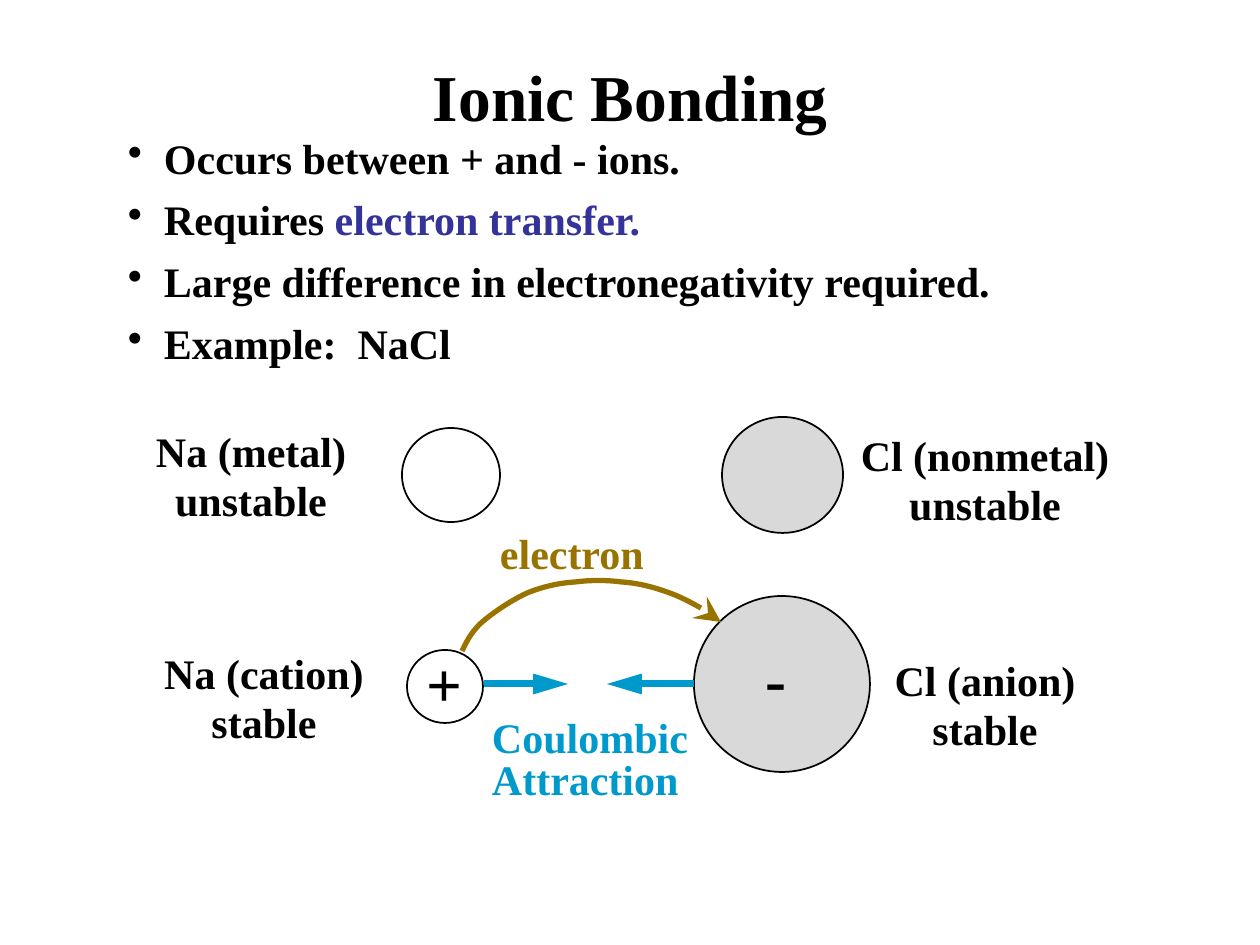
import dataclasses

import lxml.etree
import pptx
import pptx.dml.color
import pptx.enum.shapes
import pptx.enum.text
import pptx.oxml.ns
import pptx.util

EMU_PER_PX = 914400 / 126
FONT = "Times New Roman"
BLACK = pptx.dml.color.RGBColor(0x00, 0x00, 0x00)
WHITE = pptx.dml.color.RGBColor(0xFF, 0xFF, 0xFF)
GREY = pptx.dml.color.RGBColor(0xD9, 0xD9, 0xD9)
INDIGO = pptx.dml.color.RGBColor(0x33, 0x33, 0x99)
BLUE = pptx.dml.color.RGBColor(0x00, 0x99, 0xCC)
OCHRE = pptx.dml.color.RGBColor(0x99, 0x73, 0x00)
LEFT = pptx.enum.text.PP_ALIGN.LEFT
CENTER = pptx.enum.text.PP_ALIGN.CENTER
MIDDLE = pptx.enum.text.MSO_ANCHOR.MIDDLE


@dataclasses.dataclass(frozen=True)
class Label:
    left: int
    top: int
    width: int
    lines: tuple
    color: pptx.dml.color.RGBColor = BLACK
    pitch: int = 28
    align: pptx.enum.text.PP_ALIGN = CENTER


@dataclasses.dataclass(frozen=True)
class Particle:
    left: int
    top: int
    width: int
    height: int
    color: pptx.dml.color.RGBColor
    charge: str = ""
    inset_right: int = 0
    inset_bottom: int = 0


@dataclasses.dataclass(frozen=True)
class Pull:
    start: int
    end: int
    y: int


BULLETS = (
    (("Occurs between + and - ions.", BLACK),),
    (("Requires ", BLACK), ("electron transfer.", INDIGO)),
    (("Large difference in electronegativity required.", BLACK),),
    (("Example:  NaCl", BLACK),),
)
LABELS = (
    Label(146, 427, 210, ("Na (metal)", "unstable")),
    Label(850, 431, 270, ("Cl (nonmetal)", "unstable")),
    Label(159, 649, 210, ("Na (cation)", "stable")),
    Label(880, 656, 210, ("Cl (anion)", "stable")),
    Label(500, 529, 155, ("electron",), OCHRE, align=LEFT),
    Label(492, 720, 200, ("Coulombic", "Attraction"), BLUE, 24, LEFT),
)
PARTICLES = (
    Particle(402, 428, 98, 94, WHITE),
    Particle(722, 417, 121, 116, GREY),
    Particle(407, 650, 76, 73, WHITE, "+", 2, 8),
    Particle(694, 596, 176, 176, GREY, "-", 12, 14),
)
PULLS = (Pull(484, 568, 684), Pull(694, 607, 684))
TRANSFER_START = (462, 651)
TRANSFER_CURVES = (
    ((466, 643), (470, 634), (480, 624)),
    ((491, 614), (510, 601), (527, 593)),
    ((542, 587), (558, 583), (575, 582)),
    ((590, 580), (607, 580), (622, 582)),
    ((638, 583), (653, 587), (667, 592)),
    ((679, 596), (696, 605), (704, 610)),
    ((713, 615), (717, 619), (721, 622)),
)


def px(length: int) -> int:
    return round(length * EMU_PER_PX)


def add_run(paragraph, text: str, color, size: float = 24) -> None:
    run = paragraph.add_run()
    run.text = text
    run.font.name = FONT
    run.font.size = pptx.util.Pt(size)
    run.font.bold = True
    run.font.color.rgb = color


def clear_insets(frame) -> None:
    frame.margin_left = frame.margin_top = 0
    frame.margin_right = frame.margin_bottom = 0


def add_frame(slide, left: int, top: int, width: int, height: int):
    frame = slide.shapes.add_textbox(px(left), px(top), px(width), px(height)).text_frame
    frame.word_wrap = True
    clear_insets(frame)
    return frame


def next_paragraph(frame, index: int):
    return frame.add_paragraph() if index else frame.paragraphs[0]


def add_title(slide) -> None:
    frame = add_frame(slide, 53, 53, 1155, 94)
    frame.vertical_anchor = MIDDLE
    heading = frame.paragraphs[0]
    heading.alignment = CENTER
    heading.line_spacing = 0.9
    add_run(heading, "Ionic Bonding", BLACK, 37.4)


def add_bullets(slide) -> None:
    frame = add_frame(slide, 128, 132, 900, 230)
    for index, parts in enumerate(BULLETS):
        point = next_paragraph(frame, index)
        properties = point._p.get_or_add_pPr()
        properties.set("marL", str(px(36)))
        properties.set("indent", str(-px(36)))
        bullet = lxml.etree.SubElement(properties, pptx.oxml.ns.qn("a:buChar"))
        bullet.set("char", "•")
        if index:
            point.space_before = pptx.util.Pt(6.6)
        for text, color in parts:
            add_run(point, text, color)


def add_label(slide, label: Label) -> None:
    frame = add_frame(slide, label.left, label.top, label.width, 49 * len(label.lines))
    for index, text in enumerate(label.lines):
        line = next_paragraph(frame, index)
        line.alignment = label.align
        line.line_spacing = pptx.util.Pt(label.pitch)
        add_run(line, text, label.color)


def add_particle(slide, particle: Particle) -> None:
    ball = slide.shapes.add_shape(
        pptx.enum.shapes.MSO_SHAPE.OVAL,
        px(particle.left), px(particle.top), px(particle.width), px(particle.height),
    )
    ball.shadow.inherit = False
    ball.fill.solid()
    ball.fill.fore_color.rgb = particle.color
    ball.line.color.rgb = BLACK
    ball.line.width = pptx.util.Pt(1)
    if particle.charge:
        frame = ball.text_frame
        clear_insets(frame)
        frame.margin_right = px(particle.inset_right)
        frame.margin_bottom = px(particle.inset_bottom)
        frame.word_wrap = False
        frame.vertical_anchor = MIDDLE
        frame.paragraphs[0].alignment = CENTER
        add_run(frame.paragraphs[0], particle.charge, BLACK, 36)


def style_arrow(arrow, color, weight: int, head: str, head_width: str) -> None:
    arrow.line.color.rgb = color
    arrow.line.width = pptx.util.Pt(weight)
    outline = arrow.element.spPr.find(pptx.oxml.ns.qn("a:ln"))
    tip = lxml.etree.SubElement(outline, pptx.oxml.ns.qn("a:tailEnd"))
    tip.set("type", head)
    tip.set("w", head_width)
    tip.set("len", "lg")


def add_pull(slide, pull: Pull) -> None:
    arrow = slide.shapes.add_connector(
        pptx.enum.shapes.MSO_CONNECTOR.STRAIGHT,
        px(pull.start), px(pull.y), px(pull.end), px(pull.y),
    )
    style_arrow(arrow, BLUE, 4, "triangle", "med")
    lxml.etree.SubElement(arrow.element.spPr, pptx.oxml.ns.qn("a:effectLst"))


def add_transfer(slide) -> None:
    builder = slide.shapes.build_freeform(*TRANSFER_START, scale=EMU_PER_PX)
    for curve in TRANSFER_CURVES:
        builder.add_line_segments(curve, close=False)
    transfer = builder.convert_to_shape()
    outline = next(transfer.element.iter(pptx.oxml.ns.qn("a:path")))
    segments = outline.findall(pptx.oxml.ns.qn("a:lnTo"))
    for first in range(0, len(segments), 3):
        curve = lxml.etree.SubElement(outline, pptx.oxml.ns.qn("a:cubicBezTo"))
        for segment in segments[first:first + 3]:
            curve.append(segment[0])
            outline.remove(segment)
    transfer.shadow.inherit = False
    transfer.fill.background()
    style_arrow(transfer, OCHRE, 3, "stealth", "lg")


def main() -> None:
    deck = pptx.Presentation()
    deck.slide_width = px(1260)
    deck.slide_height = px(945)
    slide = deck.slides.add_slide(deck.slide_layouts[6])
    add_bullets(slide)
    add_title(slide)
    for particle in PARTICLES:
        add_particle(slide, particle)
    for label in LABELS:
        add_label(slide, label)
    for pull in PULLS:
        add_pull(slide, pull)
    add_transfer(slide)
    deck.save("out.pptx")


if __name__ == "__main__":
    main()
